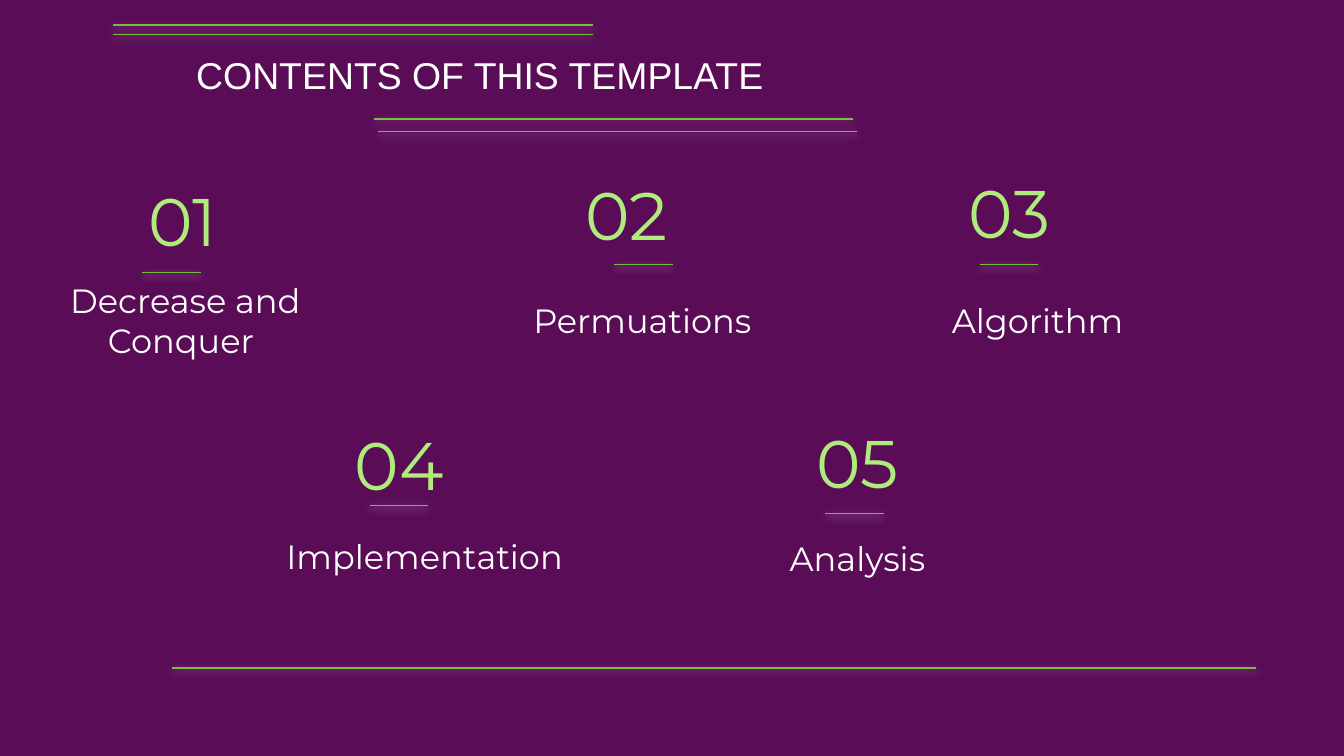
from lxml.etree import SubElement
from pptx import Presentation
from pptx.dml.color import RGBColor
from pptx.enum.shapes import MSO_CONNECTOR
from pptx.enum.text import MSO_ANCHOR, MSO_AUTO_SIZE, PP_ALIGN
from pptx.oxml.ns import qn
from pptx.util import Pt

PURPLE = RGBColor(0x5A, 0x0C, 0x57)
GREEN = RGBColor(0x79, 0xBE, 0x41)
LIME = RGBColor(0xAE, 0xEC, 0x7B)
WHITE = RGBColor(0xFF, 0xFF, 0xFF)

ENTRY_WIDTH = 162.7
TICK_WIDTH = 31.4
RULE_WIDTH = 257
FRAME = {"word_wrap": True, "auto_size": MSO_AUTO_SIZE.NONE}
ENTRY_FRAME = {
    **FRAME,
    "vertical_anchor": MSO_ANCHOR.BOTTOM,
    **{f"margin_{side}": Pt(7.2) for side in ("left", "right", "top", "bottom")},
}
NUMBER_FONT = {"name": "Montserrat", "size": Pt(36)}
LABEL_FONT = {"name": "Montserrat", "size": Pt(18)}
TITLE_FONT = {"name": "Arial", "size": Pt(20)}

# number, its place, label, its place and width, tick place
ENTRIES = [
    ("01", (16.6, 89.3), "Decrease and Conquer ", (18, 157), ENTRY_WIDTH, (76.3, 146)),
    ("02", (254.2, 86.4), "Permuations", (262.8, 146.2), ENTRY_WIDTH, (329, 141.8)),
    ("03", (459.4, 85), "Algorithm", (474.5, 146.2), ENTRY_WIDTH, (524.9, 141.8)),
    ("04", (132.5, 220.3), "Implementation", (132.5, 272.9), 190, (198, 270.7)),
    ("05", (378, 218.9), "Analysis", (378, 273.6), ENTRY_WIDTH, (442.1, 275)),
]
RULES = [
    (60.5, 13.5, RULE_WIDTH),
    (60.5, 18.5, RULE_WIDTH),
    (200.2, 63.7, RULE_WIDTH),
    (202.3, 70.4, RULE_WIDTH),
    (92.2, 357.8, 580.5),
]


def apply(target, values):
    """Set every attribute named in values."""
    for name, value in values.items():
        setattr(target, name, value)


def write(holder, text, frame_format, font_format, color, align):
    """Put one formatted paragraph into a text holder."""
    frame = holder.text_frame
    apply(frame, frame_format)
    paragraph = frame.paragraphs[0]
    paragraph.alignment = align
    run = paragraph.add_run()
    run.text = text
    apply(run.font, font_format)
    run.font.color.rgb = color


def add_title(slide, text):
    """Place and fill the slide title."""
    title = slide.shapes.title
    apply(title, {"left": Pt(97.9), "top": Pt(24.5), "width": Pt(360), "height": Pt(31.7)})
    title_frame = {**FRAME, "vertical_anchor": MSO_ANCHOR.TOP}
    write(title, text, title_frame, TITLE_FONT, WHITE, PP_ALIGN.LEFT)


def add_caption(slide, text, place, width, height, font_format, color):
    """Add a centred caption resting on the bottom of its box."""
    caption = slide.shapes.add_textbox(*map(Pt, (*place, width, height)))
    write(caption, text, ENTRY_FRAME, font_format, color, PP_ALIGN.CENTER)


def add_rule(slide, left, top, width):
    """Add a thin green rule with a soft white glow below it."""
    ends = map(Pt, (left, top, left + width, top))
    rule = slide.shapes.add_connector(MSO_CONNECTOR.STRAIGHT, *ends)
    rule.line.color.rgb = GREEN
    rule.line.width = Pt(0.75)
    effects = SubElement(rule._element.spPr, qn("a:effectLst"))
    glow = SubElement(effects, qn("a:outerShdw"), blurRad=str(Pt(4.5)),
                      dist=str(Pt(1.5)), dir="5400000", algn="bl", rotWithShape="0")
    tint = SubElement(glow, qn("a:srgbClr"), val=str(WHITE))
    SubElement(tint, qn("a:alpha"), val="50000")


def add_entry(slide, number, number_place, label, label_place, label_width, tick_place):
    """Add a contents entry: number, tick and label."""
    add_caption(slide, number, number_place, ENTRY_WIDTH, 57, NUMBER_FONT, LIME)
    add_rule(slide, *tick_place, TICK_WIDTH)
    add_caption(slide, label, label_place, label_width, 43.2, LABEL_FONT, WHITE)


def main():
    """Build and save the contents slide."""
    deck = Presentation()
    apply(deck, {"slide_width": Pt(720), "slide_height": Pt(405)})
    slide = deck.slides.add_slide(deck.slide_layouts[5])
    background = slide.background.fill
    background.solid()
    background.fore_color.rgb = PURPLE
    add_title(slide, "CONTENTS OF THIS TEMPLATE")
    for rule in RULES:
        add_rule(slide, *rule)
    for entry in ENTRIES:
        add_entry(slide, *entry)
    deck.save("out.pptx")


if __name__ == "__main__":
    main()
